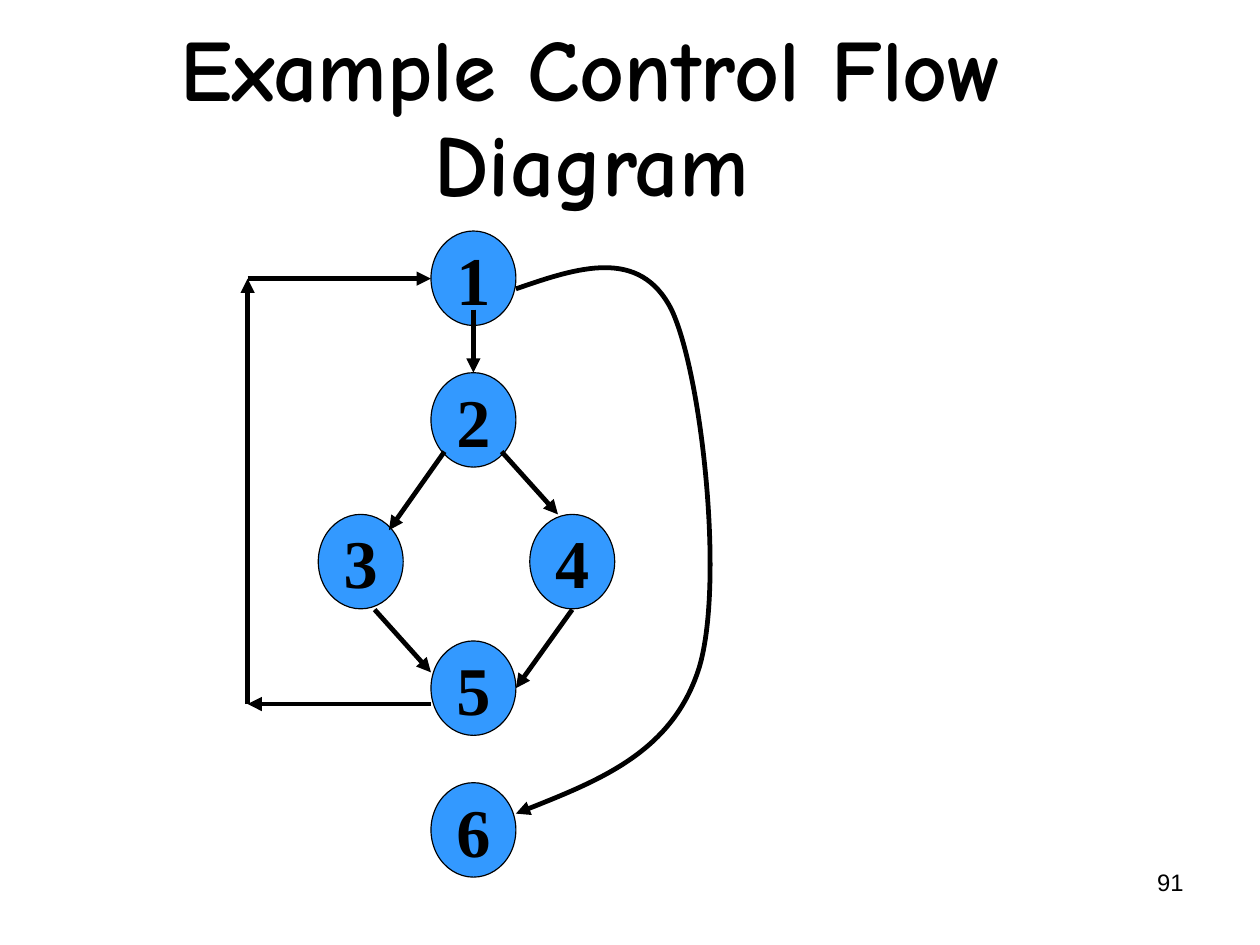
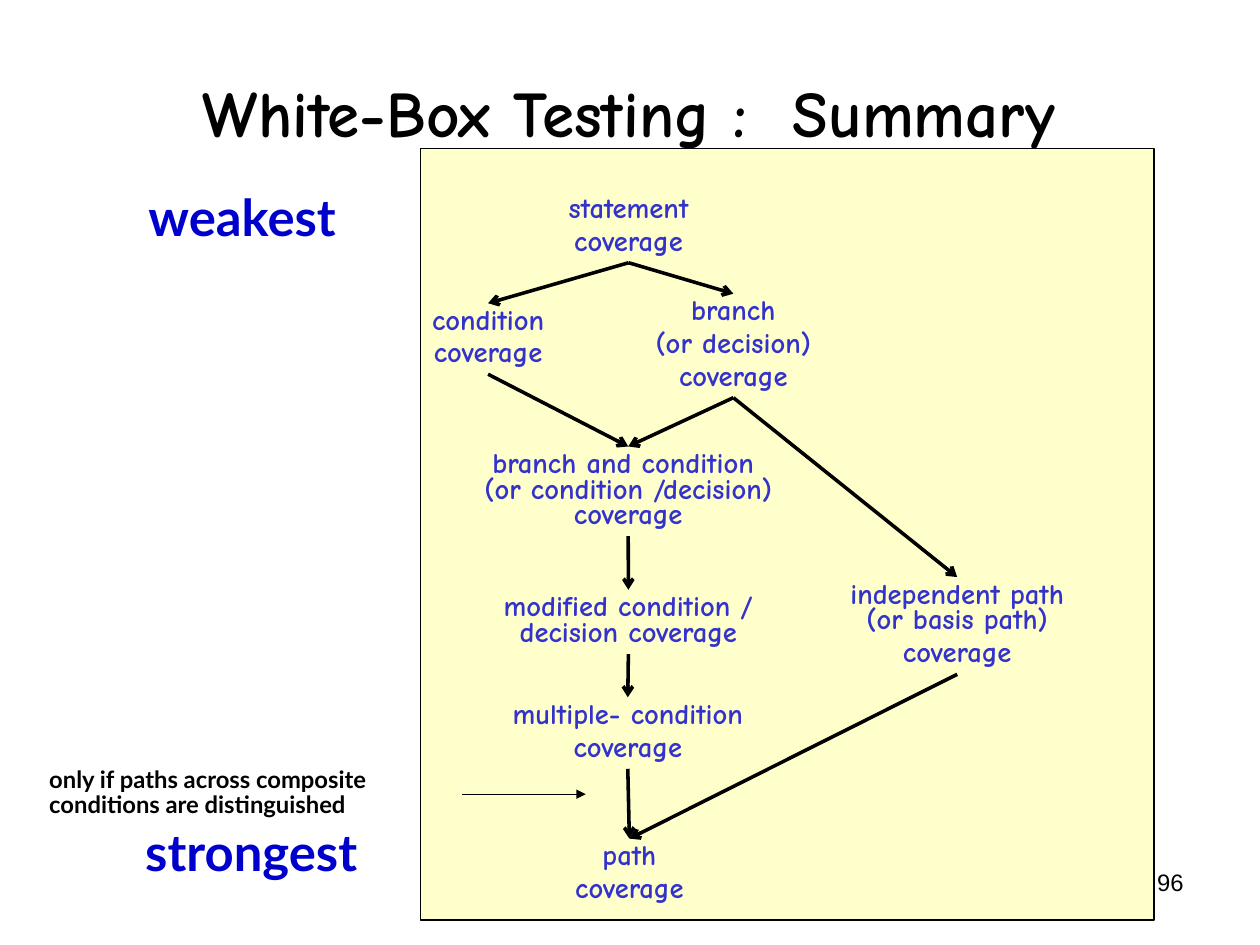
"""Build two slides on control flow and white-box test coverage."""
from dataclasses import dataclass
from typing import NamedTuple, Optional

from lxml.etree import SubElement
from pptx import Presentation
from pptx.dml.color import RGBColor
from pptx.enum.shapes import MSO_CONNECTOR, MSO_SHAPE
from pptx.enum.text import MSO_ANCHOR, MSO_AUTO_SIZE, PP_ALIGN
from pptx.oxml.ns import qn
from pptx.shapes.autoshape import Shape
from pptx.shapes.connector import Connector
from pptx.slide import Slide
from pptx.text.text import TextFrame
from pptx.util import Pt

STRAIGHT = MSO_CONNECTOR.STRAIGHT
RECT, OVAL = MSO_SHAPE.RECTANGLE, MSO_SHAPE.OVAL
TOP, MIDDLE = MSO_ANCHOR.TOP, MSO_ANCHOR.MIDDLE
LEFT, CENTER, RIGHT = PP_ALIGN.LEFT, PP_ALIGN.CENTER, PP_ALIGN.RIGHT
NO_FIT = MSO_AUTO_SIZE.NONE
SITE_TOP, SITE_BOTTOM = 0, 2
TITLE_ONLY = 5
SLIDE_W, SLIDE_H = 793.75, 595.25


@dataclass(frozen=True)
class TextStyle:
    """Font, paragraph and frame settings of one kind of text."""
    font: str
    size: float
    color: RGBColor
    bold: bool = True
    align: PP_ALIGN = CENTER
    anchor: MSO_ANCHOR = MIDDLE
    spacing: float = 1.0
    before: float = 0
    inset: tuple[float, float] = (8, 4.5)


@dataclass(frozen=True)
class Theme:
    """Colours, line widths and text styles shared by the slides."""
    black: RGBColor = RGBColor(0x00, 0x00, 0x00)
    node_fill: RGBColor = RGBColor(0x33, 0x99, 0xFF)
    panel_fill: RGBColor = RGBColor(0xFF, 0xFF, 0xCC)
    outline: float = 0.75
    flow: float = 3
    subsumes: float = 2.25
    title_large: TextStyle = TextStyle("Comic Neue", 55, black, spacing=0.91)
    title: TextStyle = TextStyle("Comic Neue", 41, black, spacing=0.91)
    node: TextStyle = TextStyle("Times New Roman", 43, black)
    criterion: TextStyle = TextStyle("Comic Neue", 18, RGBColor(0x33, 0x33, 0xCC),
                                     spacing=0.75, before=4.5)
    strength: TextStyle = TextStyle("Lato", 32, RGBColor(0x00, 0x00, 0xCC), align=LEFT,
                                    anchor=TOP, spacing=0.89, inset=(0, 0))
    remark: TextStyle = TextStyle("Lato", 15, black, align=LEFT, anchor=TOP,
                                  spacing=0.89, inset=(0, 0))
    number: TextStyle = TextStyle("Arial", 15, black, bold=False, align=RIGHT, anchor=TOP)


THEME = Theme()


class Box(NamedTuple):
    """Left, top, width and height in points."""
    x: float
    y: float
    w: float
    h: float


class Point(NamedTuple):
    """A position in points."""
    x: float
    y: float


class Flow(NamedTuple):
    """An arrow between two points, optionally joined to the top of a node."""
    start: Point
    end: Point
    into: Optional[str] = None


class Criterion(NamedTuple):
    """A coverage criterion, its place and the criteria it points to."""
    key: str
    text: str
    box: Box
    wrap: bool
    targets: tuple[str, ...] = ()


NODE_W, NODE_H = 53.5, 59.5
NODES = {
    "1": Point(271.5, 145.5),
    "2": Point(271.5, 234.75),
    "3": Point(200.5, 324),
    "4": Point(333.75, 324),
    "5": Point(271.5, 403.75),
    "6": Point(271.5, 493),
}
LOOP_X, LOOP_TOP, LOOP_BOTTOM = 156, 175.5, 443.5
FLOWS = [
    Flow(Point(298.25, 195), Point(298.25, 234.75), "2"),
    Flow(Point(280, 284.5), Point(245, 334)),
    Flow(Point(316, 284.5), Point(351.5, 324)),
    Flow(Point(236, 384), Point(271.5, 423.5)),
    Flow(Point(360.5, 384), Point(325, 433.5)),
    Flow(Point(271.5, LOOP_BOTTOM), Point(LOOP_X, LOOP_BOTTOM)),
    Flow(Point(LOOP_X, LOOP_BOTTOM), Point(LOOP_X, LOOP_TOP)),
    Flow(Point(LOOP_X, LOOP_TOP), Point(271.5, LOOP_TOP)),
]
EXIT_CURVE = [
    Point(325, 182),
    Point(364, 168.5), Point(403, 155.5), Point(423, 195),
    Point(442, 235), Point(456.5, 367), Point(440.5, 420.5),
    Point(424, 473), Point(374.5, 493), Point(325, 512.5),
]
CRITERIA = [
    Criterion("statement", "statement\ncoverage", Box(350, 121, 92, 44.5), False,
              ("condition", "branch")),
    Criterion("condition", "condition\ncoverage", Box(247.5, 191, 120, 44.75), True,
              ("both",)),
    Criterion("branch", "branch\n(or decision)\ncoverage", Box(387.5, 185, 149, 65.5), True,
              ("both", "independent")),
    Criterion("both", "branch and condition \v(or condition /decision) coverage",
              Box(280.25, 281.25, 231, 56.5), True, ("modified",)),
    Criterion("modified", "modified condition / decision coverage",
              Box(291.5, 371.5, 208.75, 40.5), True, ("multiple",)),
    Criterion("multiple", "multiple- condition\ncoverage", Box(272.75, 439.25, 245.5, 45),
              True, ("path",)),
    Criterion("independent", "independent path (or basis path)\ncoverage",
              Box(520.5, 363.5, 165, 61.25), True, ("path",)),
    Criterion("path", "path\ncoverage", Box(354, 528.25, 85, 44.5), False),
]


def write(tf: TextFrame, text: str, style: TextStyle, wrap: bool = True) -> None:
    """Fill a text frame and format its paragraphs and runs."""
    tf.text = text
    tf.auto_size = NO_FIT
    tf.word_wrap = wrap
    tf.vertical_anchor = style.anchor
    tf.margin_left = tf.margin_right = Pt(style.inset[0])
    tf.margin_top = tf.margin_bottom = Pt(style.inset[1])
    for i, p in enumerate(tf.paragraphs):
        p.alignment = style.align
        p.line_spacing = style.spacing
        p.space_before = Pt(style.before if i else 0)
        for r in p.runs:
            r.font.name = style.font
            r.font.size = Pt(style.size)
            r.font.bold = style.bold
            r.font.color.rgb = style.color


def add_text(s: Slide, box: Box, text: str, style: TextStyle, wrap: bool = True) -> Shape:
    """Add a text box."""
    sp = s.shapes.add_textbox(*map(Pt, box))
    write(sp.text_frame, text, style, wrap)
    return sp


def add_filled(s: Slide, kind: MSO_SHAPE, box: Box, fill: RGBColor) -> Shape:
    """Add a filled preset shape with a thin outline."""
    sp = s.shapes.add_shape(kind, *map(Pt, box))
    sp.shadow.inherit = False
    sp.fill.solid()
    sp.fill.fore_color.rgb = fill
    sp.line.color.rgb = THEME.black
    sp.line.width = Pt(THEME.outline)
    return sp


def style_arrow(sp: Shape | Connector, width: float, head: str) -> None:
    """Give a line its colour, width and arrowhead."""
    sp.line.color.rgb = THEME.black
    sp.line.width = Pt(width)
    SubElement(sp.element.spPr.find(qn("a:ln")), qn("a:tailEnd"), type=head)


def add_arrow(s: Slide, start: Point, end: Point, width: float, head: str) -> Connector:
    """Add a straight arrow without a shadow."""
    line = s.shapes.add_connector(STRAIGHT, *map(Pt, (*start, *end)))
    style_arrow(line, width, head)
    SubElement(line.element.spPr, qn("a:effectLst"))
    return line


def add_curve(s: Slide, points: list[Point], width: float, head: str) -> None:
    """Add an open Bezier curve whose points after the first come in threes."""
    builder = s.shapes.build_freeform(Pt(points[0].x), Pt(points[0].y))
    builder.add_line_segments([(Pt(x), Pt(y)) for x, y in points[1:]], close=False)
    sp = builder.convert_to_shape()
    sp.shadow.inherit = False
    sp.fill.background()
    style_arrow(sp, width, head)
    segments = list(sp.element.iter(qn("a:lnTo")))
    outline = segments[0].getparent()
    for i in range(0, len(segments), 3):
        cubic = SubElement(outline, qn("a:cubicBezTo"))
        for segment in segments[i:i + 3]:
            cubic.append(segment[0])
            outline.remove(segment)


def add_slide(prs: Presentation, title: str, box: Box, style: TextStyle, number: str) -> Slide:
    """Add a slide with its title and slide number."""
    s = prs.slides.add_slide(prs.slide_layouts[TITLE_ONLY])
    sp = s.shapes.title
    sp.left, sp.top, sp.width, sp.height = map(Pt, box)
    write(sp.text_frame, title, style)
    add_text(s, Box(568.75, 542, 185, 41), number, THEME.number)
    return s


def add_flow_slide(prs: Presentation) -> None:
    """Add the control flow diagram."""
    s = add_slide(prs, "Example Control Flow Diagram", Box(35.25, 26.25, 674.75, 99.5),
                  THEME.title_large, "91")
    nodes = {}
    for label, (x, y) in NODES.items():
        nodes[label] = add_filled(s, OVAL, Box(x, y, NODE_W, NODE_H), THEME.node_fill)
        write(nodes[label].text_frame, label, THEME.node, wrap=False)
    for flow in FLOWS:
        line = add_arrow(s, flow.start, flow.end, THEME.flow, "triangle")
        if flow.into:
            line.end_connect(nodes[flow.into], SITE_TOP)
    add_curve(s, EXIT_CURVE, THEME.flow, "triangle")


def add_summary_slide(prs: Presentation) -> None:
    """Add the hierarchy of coverage criteria from weakest to strongest."""
    s = add_slide(prs, "White-Box Testing :  Summary", Box(39.75, -3.75, 713.5, 154),
                  THEME.title, "96")
    panel = add_filled(s, RECT, Box(265, 93.5, 462, 486), THEME.panel_fill)
    s.shapes.title.element.addprevious(panel.element)
    boxes = {c.key: add_text(s, c.box, c.text, THEME.criterion, c.wrap) for c in CRITERIA}
    for c in CRITERIA:
        for target in c.targets:
            line = add_arrow(s, Point(0, 0), Point(0, 0), THEME.subsumes, "arrow")
            line.begin_connect(boxes[c.key], SITE_BOTTOM)
            line.end_connect(boxes[target], SITE_TOP)
    add_text(s, Box(93.5, 121.5, 134.5, 34.5), "weakest", THEME.strength, wrap=False)
    add_text(s, Box(91.5, 521.5, 154, 34.5), "strongest", THEME.strength, wrap=False)
    add_text(s, Box(31, 483.75, 228, 32.5),
             "only if paths across composite conditions are distinguished", THEME.remark)
    add_arrow(s, Point(291, 500.25), Point(369, 500.25), THEME.outline, "triangle")


def main() -> None:
    """Build and save the presentation."""
    prs = Presentation()
    prs.slide_width, prs.slide_height = Pt(SLIDE_W), Pt(SLIDE_H)
    add_flow_slide(prs)
    add_summary_slide(prs)
    prs.save("out.pptx")


if __name__ == "__main__":
    main()
